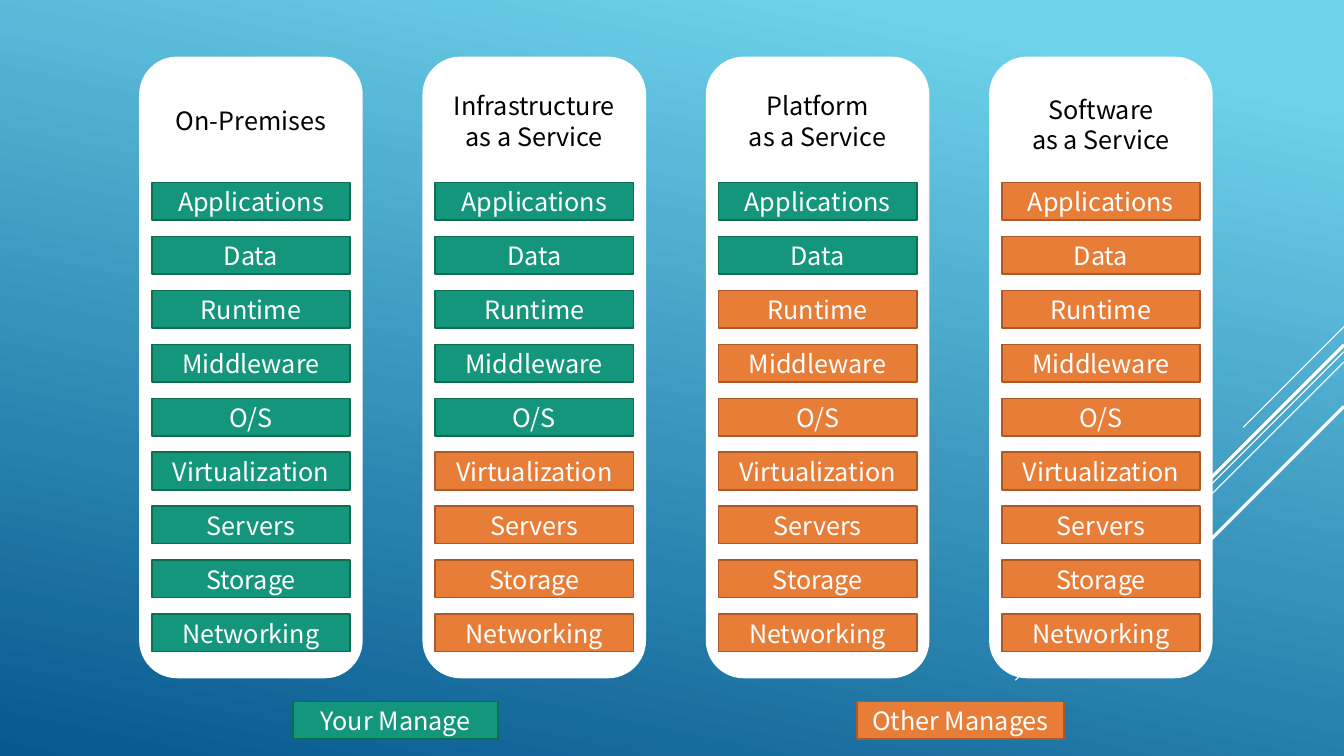
from lxml.etree import SubElement
from pptx import Presentation
from pptx.dml.color import RGBColor
from pptx.enum.shapes import MSO_CONNECTOR, MSO_SHAPE
from pptx.enum.text import MSO_ANCHOR, PP_ALIGN
from pptx.oxml.ns import qn
from pptx.util import Cm, Pt

FONT = "Noto Sans CJK SC"
WHITE = RGBColor(0xFF, 0xFF, 0xFF)
BLACK = RGBColor(0, 0, 0)
SKY = RGBColor(0x6E, 0xD2, 0xEB)
DEEP_BLUE = RGBColor(0x06, 0x58, 0x8E)
GREEN = RGBColor(0x14, 0x96, 0x7C)
DARK_GREEN = RGBColor(0x0F, 0x6F, 0x4C)
ORANGE = RGBColor(0xE8, 0x7D, 0x37)
DARK_ORANGE = RGBColor(0xAC, 0x59, 0x29)

YOURS = (GREEN, DARK_GREEN)
OTHERS = (ORANGE, DARK_ORANGE)

LAYERS = ["Applications", "Data", "Runtime", "Middleware", "O/S",
          "Virtualization", "Servers", "Storage", "Networking"]
# Heading lines, heading top and height (cm), number of layers you manage
MODELS = [
    (["On-Premises"], 2.54, 1.02, 9),
    (["Infrastructure", "as a Service"], 2.16, 1.8, 5),
    (["Platform", "as a Service"], 2.16, 1.8, 2),
    (["Software", "as a Service"], 2.24, 1.8, 0),
]
# Label, left and width (cm), colours
LEGEND = [("Your Manage", 7.39, 5.16, YOURS),
          ("Other Manages", 21.59, 5.23, OTHERS)]
# Height at the right edge and horizontal run (cm), weight (pt)
STREAKS = [(8.23, 2.54, 0.75), (8.86, 8.28, 0.75), (9.12, 5.26, 0.75),
           (8.69, 4.85, 2.25), (10.24, 3.53, 2.25)]

SLIDE_W, SLIDE_H = 33.87, 19.05
CARD_LEFT, CARD_TOP, CARD_W, CARD_H, CARD_PITCH = 3.53, 1.45, 5.59, 15.62, 7.14
LAYER_TOP, LAYER_W, LAYER_H, LAYER_PITCH = 4.6, 5.0, 0.94, 1.36
HEADING_W = 4.75
LEGEND_TOP = 17.68


def write(frame, lines, color):
    frame.word_wrap = True
    frame.text = "\n".join(lines)
    for paragraph in frame.paragraphs:
        paragraph.alignment = PP_ALIGN.CENTER
        paragraph.font.name = FONT
        paragraph.font.size = Pt(18)
        paragraph.font.color.rgb = color


def add_block(slide, kind, left, top, width, height, colors):
    block = slide.shapes.add_shape(kind, Cm(left), Cm(top), Cm(width), Cm(height))
    block.shadow.inherit = False
    fill, outline = colors
    block.fill.solid()
    block.fill.fore_color.rgb = fill
    block.line.color.rgb = outline
    block.line.width = Pt(1.25)
    return block


def add_label(slide, label, left, top, width, colors):
    block = add_block(slide, MSO_SHAPE.RECTANGLE, left, top, width, LAYER_H, colors)
    block.text_frame.vertical_anchor = MSO_ANCHOR.MIDDLE
    write(block.text_frame, [label], WHITE)


def add_streak(slide, top, run, weight):
    """Draw a 45-degree line down and left from the right edge."""
    streak = slide.shapes.add_connector(
        MSO_CONNECTOR.STRAIGHT, Cm(SLIDE_W), Cm(top), Cm(SLIDE_W - run), Cm(top + run))
    streak.line.color.rgb = WHITE
    streak.line.width = Pt(weight)
    SubElement(streak._element.spPr, qn("a:effectLst"))


def add_model(slide, index, heading, heading_top, heading_h, managed):
    left = CARD_LEFT + index * CARD_PITCH
    add_block(slide, MSO_SHAPE.ROUNDED_RECTANGLE, left, CARD_TOP, CARD_W, CARD_H,
              (WHITE, WHITE))
    for row, layer in enumerate(LAYERS):
        add_label(slide, layer, left + (CARD_W - LAYER_W) / 2,
                  LAYER_TOP + row * LAYER_PITCH, LAYER_W,
                  YOURS if row < managed else OTHERS)
    title = slide.shapes.add_textbox(Cm(left + (CARD_W - HEADING_W) / 2),
                                     Cm(heading_top), Cm(HEADING_W), Cm(heading_h))
    write(title.text_frame, heading, BLACK)


def main():
    prs = Presentation()
    prs.slide_width, prs.slide_height = Cm(SLIDE_W), Cm(SLIDE_H)
    slide = prs.slides.add_slide(prs.slide_layouts[6])

    backdrop = slide.background.fill
    backdrop.gradient()
    backdrop.gradient_angle = 258
    for stop, position, color in zip(backdrop.gradient_stops, (0.1, 1), (SKY, DEEP_BLUE)):
        stop.position = position
        stop.color.rgb = color

    for streak in STREAKS:
        add_streak(slide, *streak)
    for index, model in enumerate(MODELS):
        add_model(slide, index, *model)
    for label, left, width, colors in LEGEND:
        add_label(slide, label, left, LEGEND_TOP, width, colors)
    prs.save("out.pptx")


if __name__ == "__main__":
    main()
